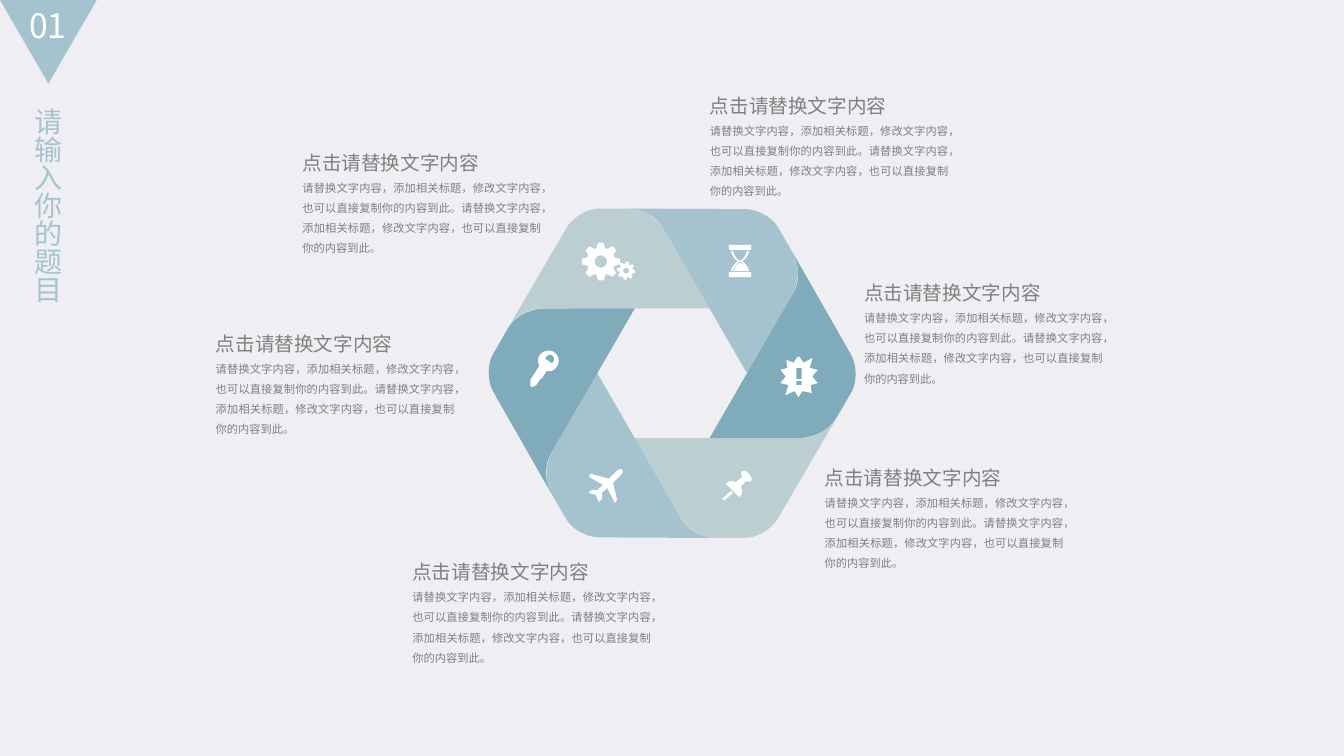
from math import cos, pi, radians, sin

from pptx import Presentation
from pptx.dml.color import RGBColor
from pptx.enum.shapes import MSO_SHAPE
from pptx.enum.text import MSO_ANCHOR, PP_ALIGN
from pptx.oxml.ns import qn
from pptx.util import Inches, Pt

CJK = "Noto Sans CJK SC"
BLUE, PALE, DARK = "A5C3CE", "BBCED2", "80ABBA"
WHITE, GREY = "FFFFFF", "808080"
CENTER = (6.667, 3.703)
TITLE = "点击请替换文字内容"
BODY = "请替换文字内容，添加相关标题，修改文字内容，也可以直接复制你的内容到此。" * 2
NOTES = [(7.04, 0.93), (8.57, 2.79), (8.18, 4.62),
         (4.09, 5.56), (2.14, 3.29), (3, 1.5)]

# A pair is a corner; six numbers are a Bezier curve from the corner before.
BAND = [(6.58, 2.27), (6.5, 2.15, 6.37, 2.07, 6.22, 2.07), (5.94, 2.07),
        (5.82, 2.07, 5.68, 2.16, 5.62, 2.26), (5.03, 3.27),
        (5.11, 3.14, 5.24, 3.06, 5.38, 3.06), (7.04, 3.06)]
PLANE = [(6.1, 4.99), (6.12, 4.96), (6.08, 4.79), (6.15, 4.72),
         (6.16, 4.71, 6.19, 4.68, 6.17, 4.66),
         (6.15, 4.64, 6.11, 4.68, 6.11, 4.68), (6.04, 4.75), (5.86, 4.7),
         (5.84, 4.73), (5.98, 4.81), (5.93, 4.86), (5.87, 4.86),
         (5.84, 4.89), (5.91, 4.91), (5.94, 4.98), (5.97, 4.95),
         (5.97, 4.89), (6.02, 4.84)]
NEEDLE = [(7.25, 4.87), (7.16, 4.95), (7.17, 4.96), (7.19, 4.96),
          (7.27, 4.89)]
PIN = [(7.39, 4.67), (7.37, 4.67, 7.35, 4.68, 7.35, 4.7),
       (7.36, 4.71, 7.36, 4.74, 7.35, 4.74),
       (7.34, 4.75, 7.3, 4.79, 7.29, 4.78),
       (7.26, 4.77, 7.22, 4.77, 7.2, 4.8), (7.33, 4.93),
       (7.36, 4.92, 7.37, 4.87, 7.35, 4.84),
       (7.34, 4.83, 7.38, 4.8, 7.39, 4.78),
       (7.41, 4.77, 7.44, 4.79, 7.45, 4.77),
       (7.47, 4.74, 7.42, 4.69, 7.39, 4.67)]
KEY = [(5.54, 3.56), (5.53, 3.51, 5.48, 3.47, 5.43, 3.48),
       (5.37, 3.49, 5.31, 3.54, 5.35, 3.63), (5.26, 3.77), (5.26, 3.83),
       (5.28, 3.84), (5.32, 3.82), (5.36, 3.76), (5.38, 3.75), (5.42, 3.68),
       (5.49, 3.7, 5.55, 3.63, 5.54, 3.56)]
EYE = [(5.49, 3.59), (5.48, 3.61, 5.46, 3.6, 5.44, 3.58),
       (5.42, 3.57, 5.4, 3.56, 5.42, 3.54),
       (5.43, 3.52, 5.46, 3.51, 5.48, 3.53),
       (5.5, 3.54, 5.5, 3.57, 5.49, 3.59)]
GLASS = [(7.25, 2.49), (7.26, 2.53, 7.28, 2.57, 7.32, 2.59),
         (7.28, 2.62, 7.26, 2.65, 7.25, 2.69), (7.27, 2.69),
         (7.28, 2.66, 7.3, 2.61, 7.33, 2.6), (7.34, 2.59), (7.33, 2.58),
         (7.3, 2.57, 7.28, 2.52, 7.27, 2.49)]
SAND = [(7.28, 2.69), (7.29, 2.65, 7.31, 2.61, 7.34, 2.61),
        (7.37, 2.61, 7.4, 2.65, 7.41, 2.69)]
SEAL = [(8.11, 3.8), (8.06, 3.74), (8.06, 3.73), (8.11, 3.67), (8.03, 3.65),
        (8.06, 3.55), (7.97, 3.6), (7.93, 3.54), (7.91, 3.54), (7.87, 3.6),
        (7.8, 3.57), (7.81, 3.65), (7.74, 3.67), (7.79, 3.73), (7.79, 3.74),
        (7.74, 3.8), (7.82, 3.82), (7.79, 3.92), (7.88, 3.88), (7.92, 3.94),
        (7.96, 3.88), (8.05, 3.9), (8.04, 3.82)]


def tint(hue):
    return RGBColor.from_string(hue)


def trace(marks, steps=12):
    """Turn corners and curves into a list of points."""
    points = []
    for mark in marks:
        if len(mark) == 2:
            points.append(mark)
            continue
        bends = [points[-1], mark[:2], mark[2:4], mark[4:]]
        for step in range(1, steps + 1):
            t = step / steps
            parts = ((1 - t) ** 3, 3 * t * (1 - t) ** 2,
                     3 * t * t * (1 - t), t ** 3)
            points.append(tuple(sum(w * b[axis] for w, b in zip(parts, bends))
                                for axis in (0, 1)))
    return points


def polar(x, y, size, angle):
    return x + size * cos(angle), y + size * sin(angle)


def spin(points, angle):
    x, y = CENTER
    c, s = cos(angle), sin(angle)
    return [(x + (a - x) * c - (b - y) * s, y + (a - x) * s + (b - y) * c)
            for a, b in points]


def mirror(points, axis):
    return [(2 * axis - x, y) for x, y in points]


def box(left, top, right, bottom):
    return [(left, top), (right, top), (right, bottom), (left, bottom)]


def gear(x, y, size, turn=0):
    """Eight teeth around a round hole."""
    teeth = [polar(x, y, size * far, radians(turn + 45 * tooth + shift))
             for tooth in range(8)
             for shift, far in ((-18, 0.73), (-8, 1), (8, 1), (18, 0.73))]
    hole = [polar(x, y, size * 0.32, pi * k / 12) for k in range(24)]
    return [teeth, hole]


def paint(shape, hue):
    shape.shadow.inherit = False
    shape.fill.solid()
    shape.fill.fore_color.rgb = tint(hue)
    shape.line.fill.background()


def draw(shapes, loops, hue):
    """Fill closed loops as one outline; inner loops become holes."""
    pen = None
    for loop in loops:
        first, *rest = [(Inches(x), Inches(y)) for x, y in loop]
        if pen is None:
            pen = shapes.build_freeform(*first)
        else:
            pen.move_to(*first)
        pen.add_line_segments(rest, close=True)
    paint(pen.convert_to_shape(), hue)


def frame(shapes, left, top, width, height, wrap=True):
    text = shapes.add_textbox(Inches(left), Inches(top),
                              Inches(width), Inches(height)).text_frame
    text.word_wrap = wrap
    text.vertical_anchor = MSO_ANCHOR.TOP
    return text


def write(para, words, size, hue, face=CJK):
    run = para.add_run()
    run.text = words
    font = run.font
    font.size, font.name = Pt(size), face
    font.color.rgb = tint(hue)
    east = font._element.makeelement(qn("a:ea"), {"typeface": CJK})
    font._element.find(qn("a:latin")).addnext(east)


def header(shapes):
    flag = shapes.add_shape(MSO_SHAPE.ISOSCELES_TRIANGLE, 0, 0,
                            Inches(0.96), Inches(0.83))
    flag.rotation = 180
    paint(flag, BLUE)
    number = frame(shapes, 0.19, 0, 0.7, 0.5)
    write(number.paragraphs[0], "01", 24, WHITE)
    topic = frame(shapes, 0.15, 0.97, 0.54, 2.06, wrap=False)
    topic._txBody.bodyPr.set("vert", "eaVert")
    write(topic.paragraphs[0], "请输入你的题目", 20, BLUE)


def ring(shapes):
    band = trace(BAND)
    for turn in range(6):
        draw(shapes, [spin(band, turn * pi / 3)], (PALE, BLUE, DARK)[turn % 3])


def icons(shapes):
    glass = trace(GLASS)
    bars = [box(7.9, 3.65, 7.95, 3.76), box(7.9, 3.78, 7.95, 3.82)]
    caps = [box(7.23, 2.43, 7.45, 2.48), box(7.23, 2.7, 7.45, 2.75)]
    for loops in (gear(5.96, 2.595, 0.19), gear(6.21, 2.685, 0.09, 8),
                  [*caps, glass, mirror(glass, 7.34), trace(SAND)],
                  [SEAL, *bars], [NEEDLE], [trace(PIN)], [trace(PLANE)],
                  [trace(KEY), trace(EYE)]):
        draw(shapes, loops, WHITE)


def note(shapes, left, top):
    text = frame(shapes, left, top, 2.37, 1.04)
    text.margin_left = text.margin_right = 0
    text.margin_top = text.margin_bottom = 0
    head, body = text.paragraphs[0], text.add_paragraph()
    head.alignment = body.alignment = PP_ALIGN.JUSTIFY
    body.line_spacing = 1.5
    write(head, TITLE, 14, GREY, "Arial")
    write(body, BODY, 8, GREY, "Arial")


def main():
    deck = Presentation()
    deck.slide_width, deck.slide_height = Inches(13.33), Inches(7.5)
    slide = deck.slides.add_slide(deck.slide_layouts[6])
    slide.background.fill.solid()
    slide.background.fill.fore_color.rgb = tint("EEEEF3")
    header(slide.shapes)
    wheel = slide.shapes.add_group_shape().shapes
    ring(wheel)
    icons(wheel)
    for left, top in NOTES:
        note(slide.shapes, left, top)
    deck.save("out.pptx")


if __name__ == "__main__":
    main()
